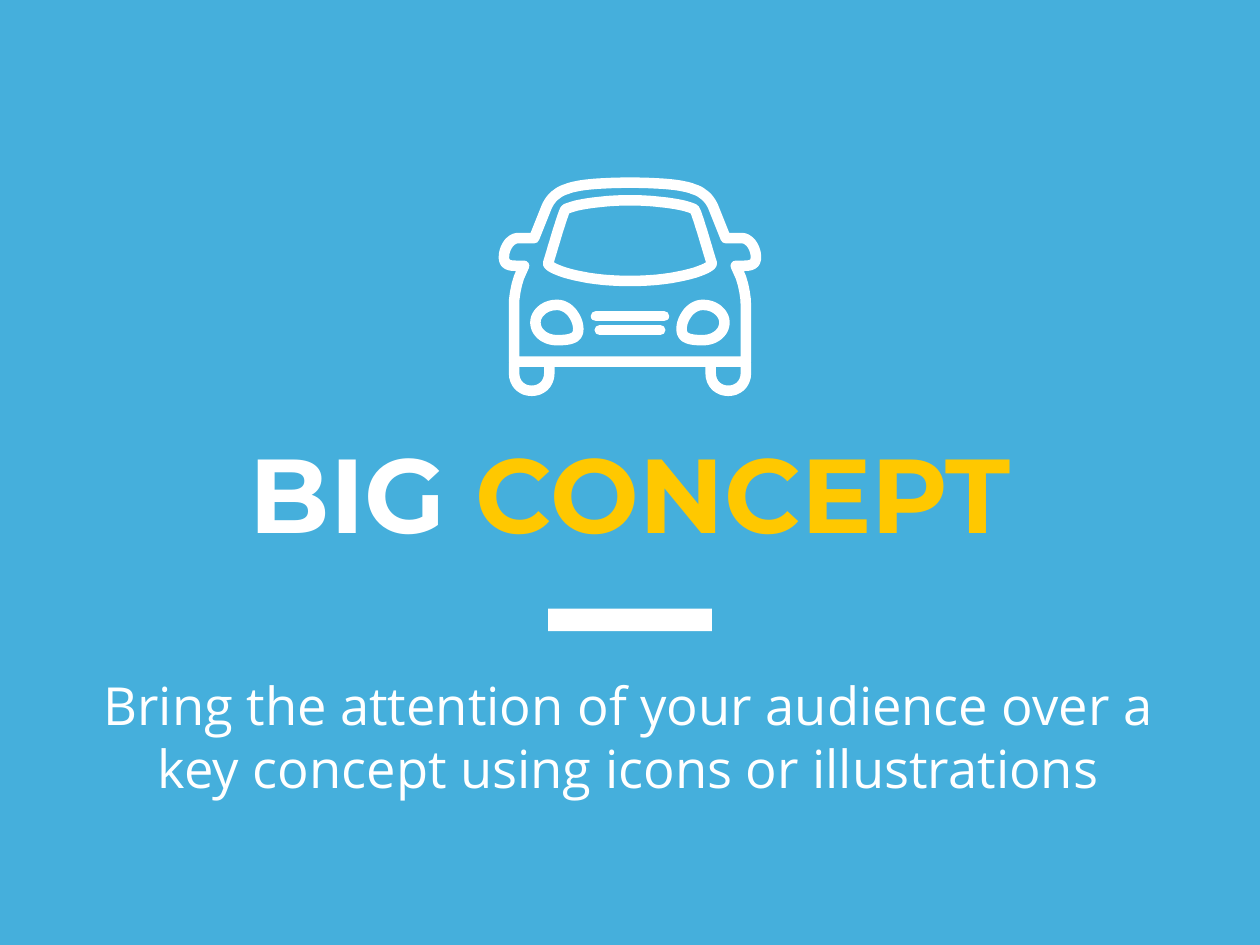
"""Build a concept slide with a line-drawn car, a two-colour title and a subtitle."""
from math import comb

from lxml.etree import SubElement
from pptx import Presentation
from pptx.dml.color import RGBColor
from pptx.enum.shapes import MSO_CONNECTOR as Connector, MSO_SHAPE as Shape
from pptx.enum.text import MSO_ANCHOR as Anchor, PP_ALIGN as Align
from pptx.oxml.ns import qn
from pptx.util import Inches, Pt

COLORS = {"sky": "45AFDC", "white": "FFFFFF", "yellow": "FFC800"}
WHITE = RGBColor.from_string(COLORS["white"])
CAR_CENTER = 5
CURVE_STEPS = 16
UNITS_PER_INCH = 1000


def trace(start, segments):
    """Return the points of a chain of lines and Bezier curves."""
    points = [start]
    for *controls, end in segments:
        knots = [points[-1], *controls, end]
        degree = len(knots) - 1
        steps = CURVE_STEPS if controls else 1
        for step in range(1, steps + 1):
            t = step / steps
            weights = [comb(degree, i) * t**i * (1 - t)**(degree - i)
                       for i in range(degree + 1)]
            points.append(tuple(
                sum(weight * value for weight, value in zip(weights, axis))
                for axis in zip(*knots)))
    return points


def mirror(points):
    """Flip points about the car's centre line."""
    return [(-x, y) for x, y in points]


deck = Presentation()
deck.slide_width, deck.slide_height = Inches(10), Inches(7.5)
page = deck.slides.add_slide(deck.slide_layouts[6])
page.background.fill.solid()
page.background.fill.fore_color.rgb = RGBColor.from_string(COLORS["sky"])

title = {
    "place": (0.5, 3.48, 9, 0.84), "anchor": Anchor.MIDDLE,
    "font": {"name": "Montserrat", "size": Pt(60), "bold": True},
    "spans": [("BIG ", "white"), ("CONCEPT", "yellow")]}
subtitle = {
    "place": (0.53, 5.24, 8.92, 1.19), "anchor": Anchor.TOP,
    "font": {"name": "Open Sans", "size": Pt(30)},
    "spans": [("Bring the attention of your audience over a key concept "
               "using icons or illustrations", "white")]}
for text in (title, subtitle):
    box = page.shapes.add_textbox(*map(Inches, text["place"]))
    frame_format = {"word_wrap": True, "vertical_anchor": text["anchor"]}
    for side in ("left", "top", "right", "bottom"):
        frame_format[f"margin_{side}"] = Inches(0.1)
    for name, value in frame_format.items():
        setattr(box.text_frame, name, value)
    para = box.text_frame.paragraphs[0]
    para.alignment = Align.CENTER
    for words, color in text["spans"]:
        span = para.add_run()
        span.text = words
        for name, value in text["font"].items():
            setattr(span.font, name, value)
        span.font.color.rgb = RGBColor.from_string(COLORS[color])

divider = page.shapes.add_shape(
    Shape.RECTANGLE, Inches(4.35), Inches(4.83), Inches(1.3), Inches(0.18))
divider.shadow.inherit = False
divider.fill.solid()
divider.fill.fore_color.rgb = WHITE
divider.line.fill.background()

roof = [(0.27, 1.45), (0.43, 1.47), (0.5, 1.5)]
shoulder = [(0.57, 1.52), (0.63, 1.57), (0.66, 1.64)]
pillar = [(0.76, 1.89)]
wing_mirror = [
    [(0.89, 1.89)],
    [(0.95, 1.89), (1, 1.97), (1, 2.04)],
    [(1, 2.1), (0.96, 2.11), (0.89, 2.11)],
    [(0.84, 2.11)]]
fender = [[(0.88, 2.2)], [(0.92, 2.32), (0.92, 2.43)]]
side_panel = [(0.92, 2.87)]
half_body = trace(
    (0, 1.45), [roof, shoulder, pillar, *wing_mirror, *fender, side_panel])

glass_top = [(0.2, 1.59), (0.43, 1.62), (0.51, 1.66)]
glass_side = [(0.53, 1.68), (0.6, 1.93), (0.65, 2.09)]
glass_bottom = [(0.65, 2.13), (0.4, 2.23), (0, 2.23)]
half_windshield = trace((0, 1.59), [glass_top, glass_side, glass_bottom])

headlight = trace((0.58, 2.42), [
    [(0.68, 2.42), (0.75, 2.49), (0.75, 2.56)],
    [(0.75, 2.64), (0.67, 2.7), (0.58, 2.7)],
    [(0.46, 2.7), (0.41, 2.68), (0.41, 2.61)],
    [(0.41, 2.54), (0.47, 2.42), (0.58, 2.42)]])
wheel = trace((0.64, 2.88), [
    [(0.64, 2.96)],
    [(0.64, 3.15), (0.92, 3.15), (0.92, 2.96)],
    [(0.92, 2.88)]])

outlines = [(wheel, False), (mirror(wheel), False)]
for half in (half_body, half_windshield):
    outlines.append((half + mirror(half)[::-1], True))
outlines += [(headlight, True), (mirror(headlight), True)]

car = page.shapes.add_group_shape()
strokes = []
for points, closed in outlines:
    start, *rest = [((CAR_CENTER + x) * UNITS_PER_INCH, y * UNITS_PER_INCH)
                    for x, y in points]
    builder = car.shapes.build_freeform(
        *start, scale=Inches(1) / UNITS_PER_INCH)
    builder.add_line_segments(rest, close=closed)
    part = builder.convert_to_shape()
    part.fill.background()
    strokes.append(part)

for half_width, y in ((0.27, 2.51), (0.24, 2.62)):
    strokes.append(car.shapes.add_connector(
        Connector.STRAIGHT, Inches(CAR_CENTER - half_width), Inches(y),
        Inches(CAR_CENTER + half_width), Inches(y)))

for stroke in strokes:
    stroke.line.color.rgb = WHITE
    stroke.line.width = Pt(6)
    outline = stroke.line._get_or_add_ln()
    outline.set("cap", "rnd")
    SubElement(outline, qn("a:round"))
    SubElement(stroke._element.spPr, qn("a:effectLst"))

deck.save("out.pptx")
